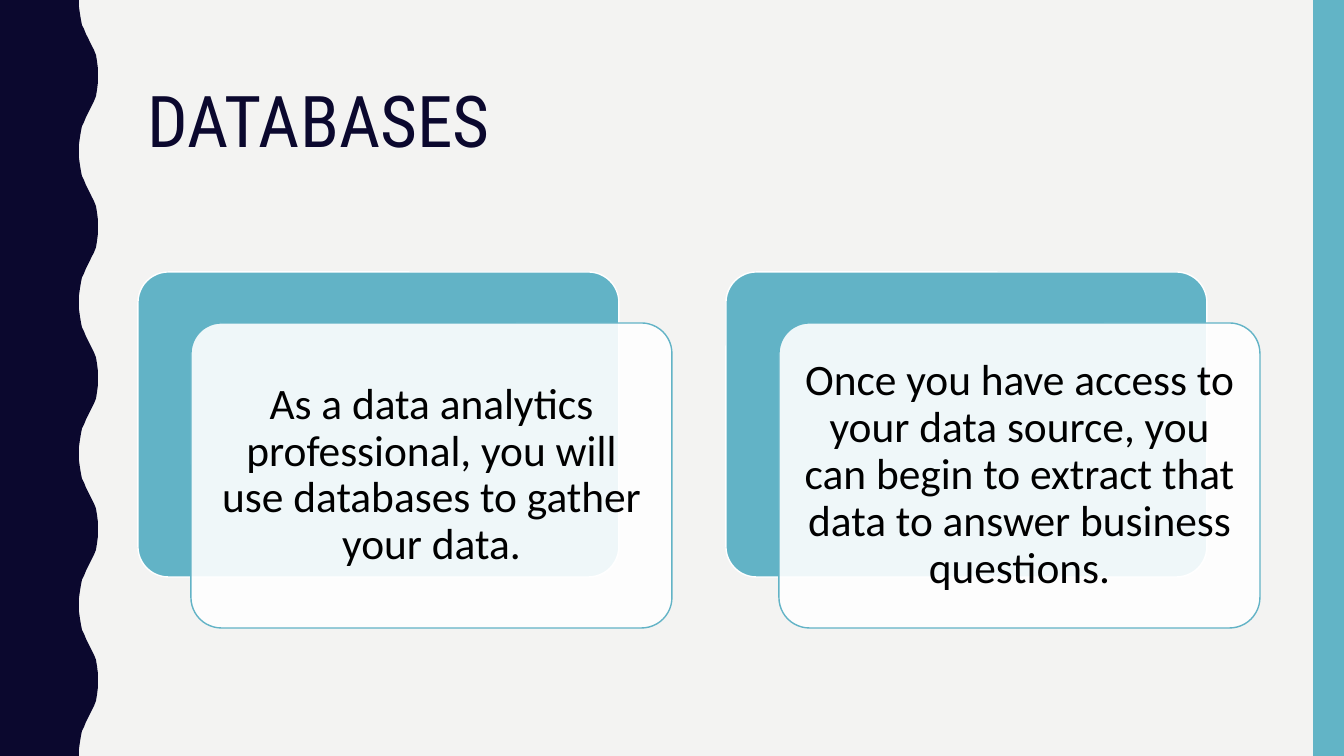
from lxml import etree
from pptx import Presentation
from pptx.dml.color import RGBColor
from pptx.enum.shapes import MSO_SHAPE
from pptx.enum.text import MSO_ANCHOR, PP_ALIGN
from pptx.oxml.ns import qn
from pptx.util import Emu, Pt

RECT, ROUNDED = MSO_SHAPE.RECTANGLE, MSO_SHAPE.ROUNDED_RECTANGLE
MIDDLE, LEFT, CENTER = MSO_ANCHOR.MIDDLE, PP_ALIGN.LEFT, PP_ALIGN.CENTER

# Content
TITLE = "DATABASES"
CARDS = [
    "As a data analytics professional, you will use databases to gather your data.",
    "Once you have access to your data source, you can begin to extract that "
    "data to answer business questions.",
]


class Theme:
    paper = RGBColor(0xF3, 0xF3, 0xF2)
    navy = RGBColor(0x0B, 0x08, 0x2E)
    stripe = RGBColor(0x62, 0xB4, 0xC6)
    teal = RGBColor(0x62, 0xB3, 0xC6)
    white = RGBColor(0xFF, 0xFF, 0xFF)
    black = RGBColor(0, 0, 0)
    title_font, title_size = "Roboto Condensed", Pt(51)
    body_font, body_size = "Calibri", Pt(31)
    outline = Pt(1)
    line_spacing = 0.9


# Layout in px
SLIDE_W, SLIDE_H = 1344, 756
STRIPE_W = 31
TITLE_BOX = (138, 42, 1122, 164)
CARD_X, CARD_Y, CARD_W, CARD_H = 138, 272, 481, 305
CARD_STEP, FRONT_DX, FRONT_DY = 588, 53, 51
CARD_INSET = 13
WAVES = 5
# Half a wave, trough to crest, as (x, y)
HALF_WAVE = [(79, 0), (79, 7), (80, 14), (81, 20), (82, 25), (84, 29), (86, 34),
             (88, 38), (90, 42), (92, 46), (94, 50), (96, 55), (97, 61), (98, 69),
             (98, 76)]


def px(value):
    return Emu(round(value * 914400 / 100.8))


def style(shape, fill, line=None):
    shape.shadow.inherit = False
    shape.fill.solid()
    shape.fill.fore_color.rgb = fill
    if line is None:
        shape.line.fill.background()
    else:
        shape.line.color.rgb = line
        shape.line.width = Theme.outline


def add_block(slide, preset, box, fill, line=None):
    block = slide.shapes.add_shape(preset, *map(px, box))
    style(block, fill, line)
    return block


def write(shape, text, font, size, color, align):
    frame = shape.text_frame
    frame.word_wrap = True
    frame.vertical_anchor = MIDDLE
    paragraph = frame.paragraphs[0]
    paragraph.text = text
    paragraph.alignment = align
    paragraph.line_spacing = Theme.line_spacing
    paragraph.font.name, paragraph.font.size = font, size
    paragraph.font.color.rgb = color


def add_wavy_edge(slide):
    wave_h = SLIDE_H / WAVES
    wave = HALF_WAVE + [(x, wave_h - y) for x, y in HALF_WAVE[-2::-1]]
    edge = [(px(x), px(i * wave_h + y)) for i in range(WAVES) for x, y in wave]
    builder = slide.shapes.build_freeform(0, 0)
    builder.add_line_segments(edge + [(0, px(SLIDE_H))], close=True)
    style(builder.convert_to_shape(), Theme.navy)


def add_card(slide, x, text):
    add_block(slide, ROUNDED, (x, CARD_Y, CARD_W, CARD_H),
              Theme.teal, Theme.white).adjustments[0] = 0.1
    front = add_block(slide, ROUNDED,
                      (x + FRONT_DX, CARD_Y + FRONT_DY, CARD_W, CARD_H),
                      Theme.white, Theme.teal)
    front.adjustments[0] = 0.1
    fill_color = front.fill._xPr.find(qn("a:solidFill"))[0]
    etree.SubElement(fill_color, qn("a:alpha"), val="90000")
    frame = front.text_frame
    frame.margin_left = frame.margin_right = px(CARD_INSET)
    frame.margin_top = frame.margin_bottom = px(CARD_INSET)
    write(front, text, Theme.body_font, Theme.body_size, Theme.black, CENTER)


def main():
    deck = Presentation()
    deck.slide_width, deck.slide_height = px(SLIDE_W), px(SLIDE_H)
    slide = deck.slides.add_slide(deck.slide_layouts[6])
    slide.background.fill.solid()
    slide.background.fill.fore_color.rgb = Theme.paper

    # Side decoration
    add_wavy_edge(slide)
    add_block(slide, RECT, (SLIDE_W - STRIPE_W, 0, STRIPE_W, SLIDE_H), Theme.stripe)

    # Title
    title = slide.shapes.add_textbox(*map(px, TITLE_BOX))
    write(title, TITLE, Theme.title_font, Theme.title_size, Theme.navy, LEFT)

    # Cards
    for i, text in enumerate(CARDS):
        add_card(slide, CARD_X + i * CARD_STEP, text)

    deck.save("out.pptx")


if __name__ == "__main__":
    main()
